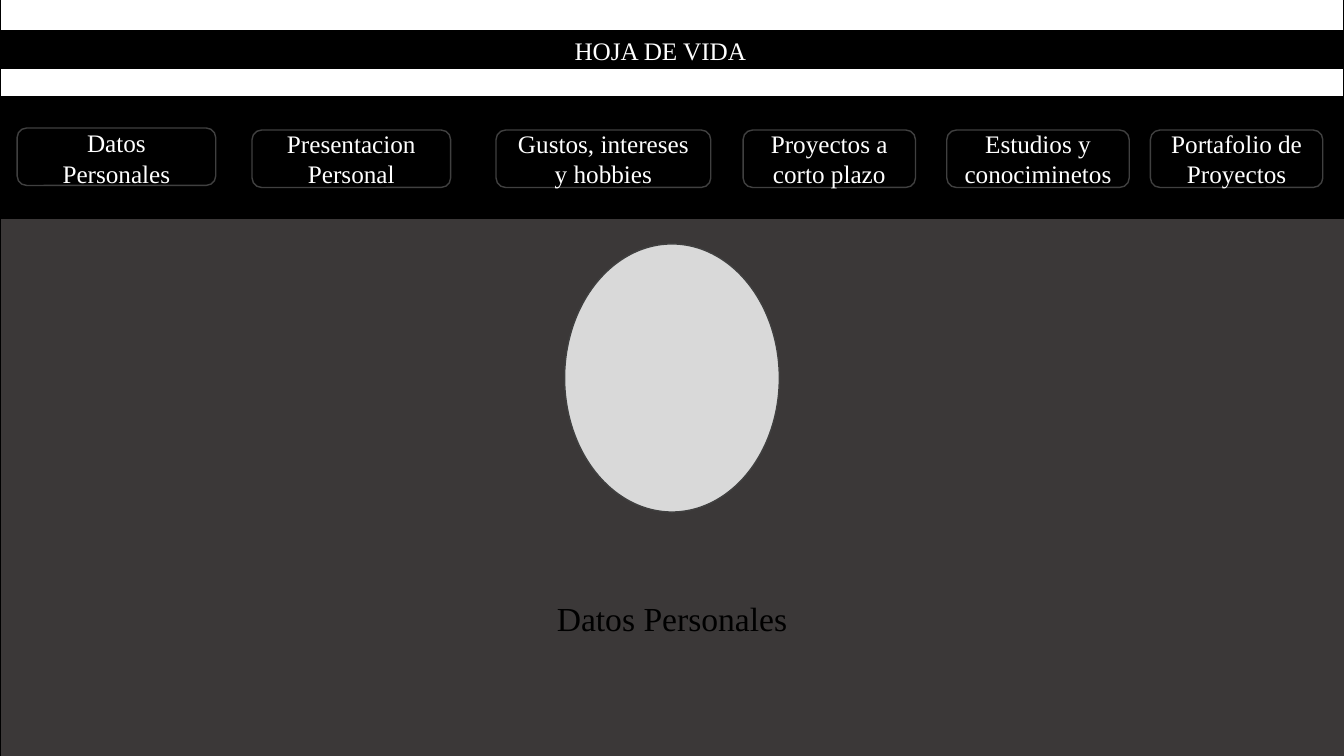
from pptx import Presentation
from pptx.dml.color import RGBColor
from pptx.enum.shapes import MSO_SHAPE
from pptx.enum.text import MSO_ANCHOR, PP_ALIGN
from pptx.util import Inches, Pt

RECTANGLE = MSO_SHAPE.RECTANGLE
ROUNDED = MSO_SHAPE.ROUNDED_RECTANGLE
OVAL = MSO_SHAPE.OVAL
LEFT, CENTER = PP_ALIGN.LEFT, PP_ALIGN.CENTER
TOP, MIDDLE = MSO_ANCHOR.TOP, MSO_ANCHOR.MIDDLE

FONT = "Times New Roman"
COLORS = {
    "white": "FFFFFF",
    "black": "000000",
    "edge": "404040",
    "panel": "3B3838",
    "portrait": "D9D9D9",
}
WIDTH, HEIGHT = 13.33, 7.5
BUTTON_TOP, BUTTON_HEIGHT = 1.29, 0.57

# Menu entries: spans of (text, size), left, top, width
MENU = [
    ([("Datos", 18), (" ", 20), ("Personales", 18)], 0.17, 1.27, 1.97),
    ([("Presentacion Personal", 18)], 2.5, BUTTON_TOP, 1.97),
    ([("Gustos, intereses y hobbies", 18)], 4.92, BUTTON_TOP, 2.13),
    ([("Proyectos a corto plazo", 18)], 7.37, BUTTON_TOP, 1.71),
    ([("Estudios y conociminetos", 18)], 9.39, BUTTON_TOP, 1.81),
    ([("Portafolio de Proyectos", 18)], 11.41, BUTTON_TOP, 1.71),
]


def rgb(name):
    return RGBColor.from_string(COLORS[name])


def write_text(box, spans, color="white", align=CENTER, anchor=TOP):
    frame = box.text_frame
    frame.word_wrap = True
    frame.vertical_anchor = anchor
    para = frame.paragraphs[0]
    para.alignment = align
    for text, size in spans:
        span = para.add_run()
        span.text = text
        span.font.name = FONT
        span.font.size = Pt(size)
        span.font.color.rgb = rgb(color)


def add_block(page, kind, left, top, width, height, fill, line="black", weight=1):
    block = page.shapes.add_shape(
        kind, Inches(left), Inches(top), Inches(width), Inches(height))
    block.shadow.inherit = False
    block.fill.solid()
    block.fill.fore_color.rgb = rgb(fill)
    block.line.color.rgb = rgb(line)
    block.line.width = Pt(weight)
    return block


def add_label(page, text, left, top, width, height, size, **text_format):
    box = page.shapes.add_textbox(
        Inches(left), Inches(top), Inches(width), Inches(height))
    write_text(box, [(text, size)], **text_format)


def add_button(page, spans, left, top, width):
    button = add_block(page, ROUNDED, left, top, width, BUTTON_HEIGHT,
                       "black", line="edge")
    write_text(button, spans, anchor=MIDDLE)


def main():
    deck = Presentation()
    deck.slide_width, deck.slide_height = Inches(WIDTH), Inches(HEIGHT)
    page = deck.slides.add_slide(deck.slide_layouts[6])

    # Header bands
    add_block(page, RECTANGLE, 0, -0.01, WIDTH, 0.97, "white")
    add_block(page, RECTANGLE, 0, 0.3, WIDTH, 0.38, "black")
    add_block(page, RECTANGLE, 0, 0.97, WIDTH, 1.2, "black")

    # Menu
    for spans, left, top, width in MENU:
        add_button(page, spans, left, top, width)

    # Main panel, title and portrait
    add_block(page, RECTANGLE, 0, 2.17, WIDTH, 5.33, "panel", weight=0.5)
    add_label(page, "HOJA DE VIDA", 5.6, 0.3, 2.13, 0.4, 18, align=LEFT)
    add_block(page, OVAL, 5.6, 2.42, 2.13, 2.66, "portrait", line="edge")
    add_label(page, "Datos Personales", 3.92, 5.88, 5.49, 0.5, 24, color="black")

    deck.save("out.pptx")


if __name__ == "__main__":
    main()
